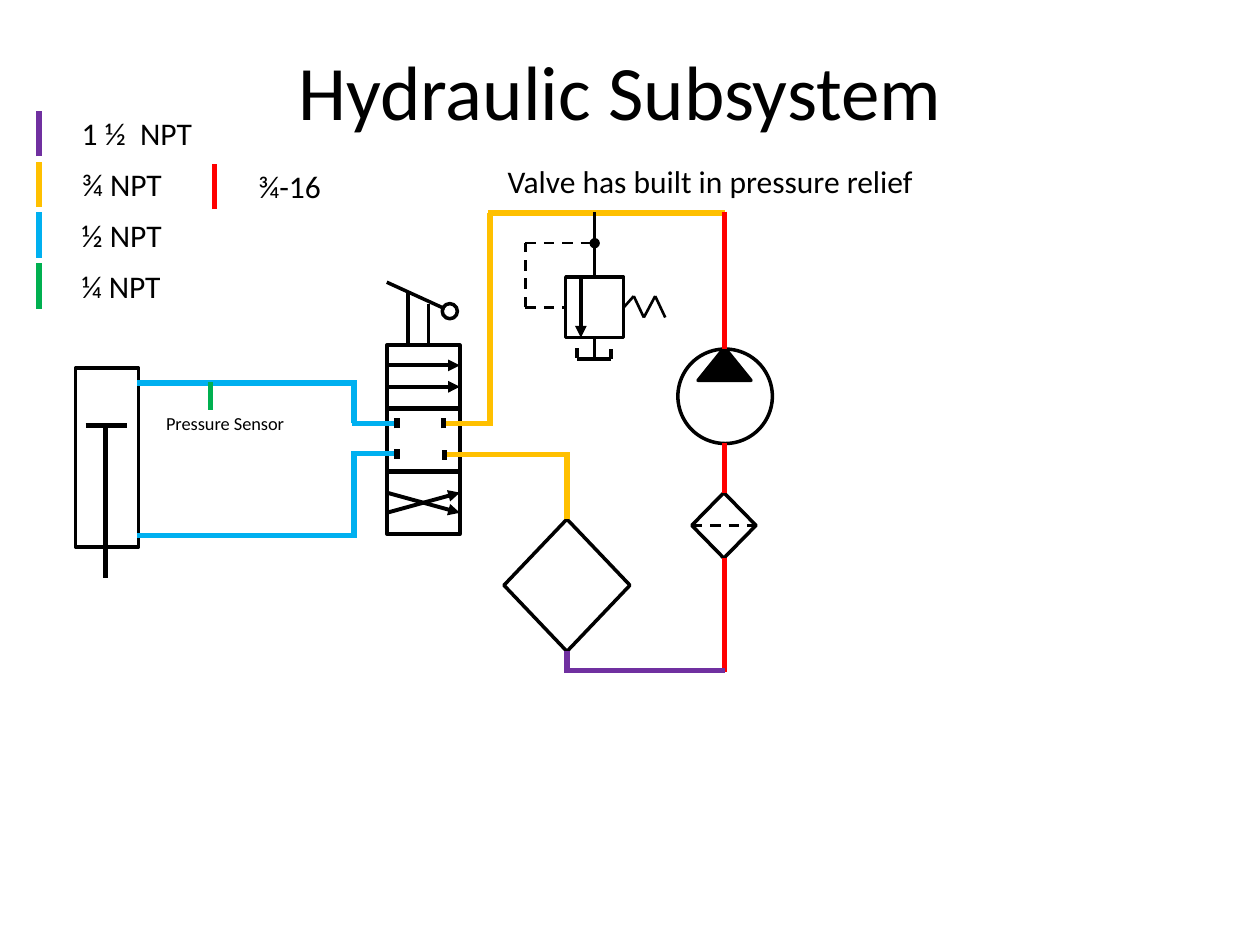
from pptx import Presentation
from pptx.util import Inches, Pt
from pptx.dml.color import RGBColor as Rgb
from pptx.enum.dml import MSO_LINE as Dash
from pptx.enum.shapes import MSO_CONNECTOR as Conn, MSO_SHAPE as Geom
from pptx.enum.text import MSO_ANCHOR as Anchor, MSO_AUTO_SIZE as Auto, PP_ALIGN as Align
from pptx.oxml.ns import qn
from lxml import etree

hues = {"black": "000000", "white": "FFFFFF", "red": "FF0000", "gold": "FFC000",
        "blue": "00B0F0", "green": "00B050", "plum": "7030A0"}
tones = {name: Rgb.from_string(code) for name, code in hues.items()}


def link(x1, y1, x2, y2, tone="black", width=3, tail=None, dash=False):
    line = deck.add_connector(Conn.STRAIGHT, Inches(x1), Inches(y1), Inches(x2), Inches(y2))
    line.line.color.rgb = tones[tone]
    line.line.width = Pt(width)
    if dash:
        line.line.dash_style = Dash.DASH
    if tail:
        etree.SubElement(line.line._get_or_add_ln(), qn("a:tailEnd"), type=tail)
    etree.SubElement(line._element.spPr, qn("a:effectLst"))


def label(text, x, y, w, h, size, wrap=False):
    box = deck.add_textbox(Inches(x), Inches(y), Inches(w), Inches(h))
    frame = box.text_frame
    for key, value in {"text": text, "word_wrap": wrap, "auto_size": Auto.SHAPE_TO_FIT_TEXT}.items():
        setattr(frame, key, value)
    font = frame.paragraphs[0].runs[0].font
    for key, value in {"name": "Calibri", "size": Pt(size)}.items():
        setattr(font, key, value)
    font.color.rgb = tones["black"]


show = Presentation()
show.slide_width, show.slide_height = Inches(10), Inches(7.5)
slide = show.slides.add_slide(show.slide_layouts[5])
deck = slide.shapes

title = deck.title
place = {"left": 0.42, "top": 0.09, "width": 9, "height": 1.25}
for key, value in place.items():
    setattr(title, key, Inches(value))
title.text_frame.text = "Hydraulic Subsystem"
title.text_frame.vertical_anchor = Anchor.MIDDLE
head = title.text_frame.paragraphs[0]
head.alignment = Align.CENTER
for key, value in {"name": "Calibri", "size": Pt(44)}.items():
    setattr(head.runs[0].font, key, value)
head.runs[0].font.color.rgb = tones["black"]

sizes = [("1 ½  NPT", "plum", 1.09), ("¾ NPT", "gold", 0.84),
         ("½ NPT", "blue", 0.84), ("¼ NPT", "green", 0.84)]
for row, (text, tone, width) in enumerate(sizes):
    top = 0.88 + row * 0.403
    link(0.31, top + 0.36, 0.31, top, tone)
    label(text, 0.55, top - 0.02, width, 0.4, 18)
link(1.7, 1.66, 1.7, 1.3, "red")
label("¾-16 ", 1.95, 1.28, 0.76, 0.4, 18)
label("Valve has built in pressure relief", 3.93, 1.24, 4.05, 0.4, 18, True)
label("Pressure Sensor", 1.22, 3.22, 1.2, 0.29, 10.5)

pipes = {
    "blue": [(2.83, 3.04, 1.22, 3.04), (2.83, 4.25, 1.22, 4.25),
             (2.81, 3.36, 2.81, 3.03), (2.81, 4.25, 2.81, 3.58)],
    "green": [(1.67, 3.25, 1.67, 3.03)],
    "gold": [(3.89, 1.69, 3.89, 3.38), (5.75, 1.69, 3.87, 1.69), (4.5, 4, 4.5, 3.59)],
    "red": [(5.75, 5.33, 5.75, 3.65), (5.75, 1.68, 5.75, 2.62)],
    "plum": [(4.48, 5.32, 5.75, 5.32)],
}
for tone, runs in pipes.items():
    for run in runs:
        link(*run, tone)

parts = [
    (Geom.OVAL, 5.38, 2.77, 0.75, 0.75, "white"),
    (Geom.FLOWCHART_EXTRACT, 5.54, 2.76, 0.42, 0.26, "black"),
    (Geom.RECTANGLE, 0.6, 2.92, 0.5, 1.42, "white"),
    (Geom.OVAL, 3.51, 2.41, 0.12, 0.12, "white"),
    (Geom.RECTANGLE, 3.07, 2.74, 0.58, 1.5, "white"),
    (Geom.DIAMOND, 4, 4.12, 1, 1.05, "white"),
    (Geom.RECTANGLE, 4.49, 2.2, 0.46, 0.48, "white"),
    (Geom.DIAMOND, 5.49, 3.91, 0.51, 0.52, "white"),
]
for geom, x, y, w, h, tone in parts:
    part = deck.add_shape(geom, Inches(x), Inches(y), Inches(w), Inches(h))
    part.shadow.inherit = False
    part.fill.solid()
    part.fill.fore_color.rgb = tones[tone]
    part.line.color.rgb = tones["black"]
    part.line.width = Pt(2)

stubs = {
    "red": [(5.75, 2.77, 5.75, 2.6), (5.75, 3.68, 5.75, 3.52),
            (5.75, 3.91, 5.75, 3.83), (5.75, 4.51, 5.75, 4.43)],
    "blue": [(1.09, 4.25, 1.26, 4.25), (1.09, 3.04, 1.26, 3.04),
             (2.79, 3.6, 3.15, 3.6), (2.79, 3.36, 3.15, 3.36)],
    "gold": [(3.53, 3.36, 3.89, 3.36), (3.53, 3.61, 4.5, 3.61), (4.5, 4.12, 4.5, 3.95)],
    "plum": [(4.5, 5.33, 4.5, 5.17)],
    "black": [(0.84, 3.38, 0.84, 4.59), (0.68, 3.38, 1.01, 3.38),
              (3.07, 3.24, 3.65, 3.24), (3.07, 3.74, 3.65, 3.74),
              (3.53, 3.65, 3.53, 3.57), (3.52, 3.4, 3.52, 3.32),
              (3.15, 3.64, 3.15, 3.56), (3.15, 3.4, 3.15, 3.32)],
}
for tone, runs in stubs.items():
    for run in runs:
        link(*run, tone)

for start, end in [(2.9, 2.9), (3.07, 3.07), (3.91, 4.07), (4.07, 3.91)]:
    link(3.07, start, 3.65, end, width=2.25, tail="triangle")
link(4.61, 2.2, 4.61, 2.68, width=2.25, tail="triangle")

for run in [(3.4, 2.74, 3.4, 2.41), (3.24, 2.74, 3.24, 2.32), (3.53, 2.45, 3.07, 2.24),
            (4.85, 2.85, 4.58, 2.85), (4.85, 2.85, 4.85, 2.77), (4.58, 2.84, 4.58, 2.76)]:
    link(*run, width=2)

for run in [(4.17, 2.44, 4.49, 2.44), (4.17, 2.44, 4.17, 1.93), (5.49, 4.17, 6.01, 4.17)]:
    link(*run, width=1.5, dash=True)
link(4.17, 1.93, 4.72, 1.93, width=1.5, tail="oval", dash=True)

for run in [(4.72, 2.2, 4.72, 1.68), (4.72, 2.85, 4.72, 2.68)]:
    link(*run, width=1.5)
spring = [(4.95, 2.44), (5.03, 2.35), (5.11, 2.52), (5.2, 2.35), (5.28, 2.52)]
for start, end in zip(spring, spring[1:]):
    link(*start, *end, width=1.5)

show.save("out.pptx")
